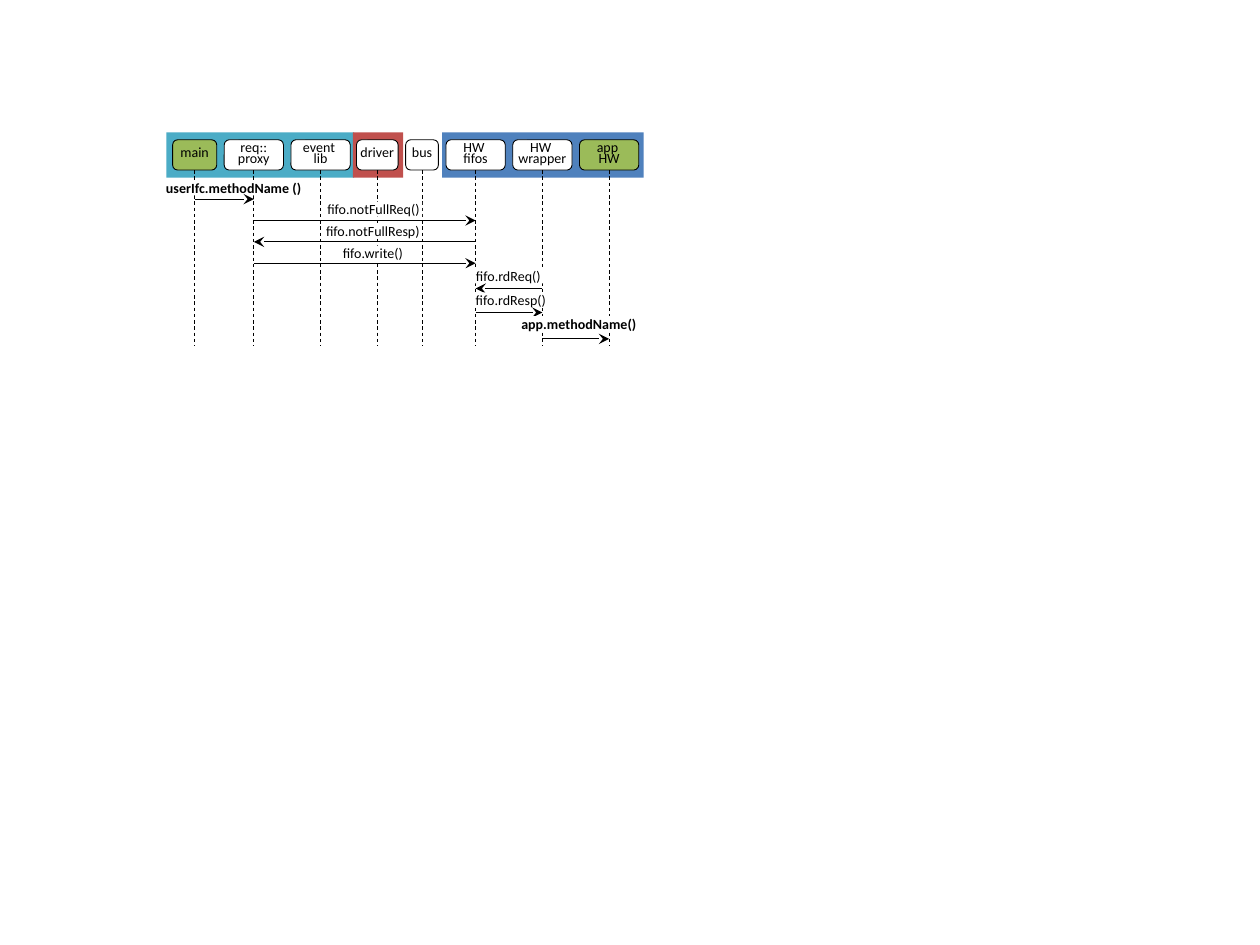
import pptx
import pptx.util
import pptx.dml.color
import pptx.enum.dml
import pptx.enum.shapes
import pptx.enum.text
import pptx.oxml.ns
import lxml.etree

Inches = pptx.util.Inches
COLORS = {"software": "4BACC6", "kernel": "C0504D", "hardware": "4F81BD",
          "user": "9BBB59", "white": "FFFFFF", "ink": "000000"}
RECTANGLE = pptx.enum.shapes.MSO_SHAPE.RECTANGLE
ROUNDED = pptx.enum.shapes.MSO_SHAPE.ROUNDED_RECTANGLE

BANDS = [(0, 1.49, "software"), (1.48, 0.4, "kernel"), (2.19, 1.6, "hardware")]
PARTICIPANTS = [
    ("main", ["main"], 0.05, 0.35, "user"),
    ("proxy", ["req::", "proxy"], 0.46, 0.47, "white"),
    ("event", ["event ", "lib"], 0.99, 0.47, "white"),
    ("driver", ["driver"], 1.51, 0.33, "white"),
    ("bus", ["bus"], 1.9, 0.26, "white"),
    ("fifos", ["HW ", "fifos"], 2.22, 0.47, "white"),
    ("wrapper", ["HW ", "wrapper"], 2.75, 0.47, "white"),
    ("app", ["app ", "HW"], 3.28, 0.47, "user"),
]
MESSAGES = [
    ("userIfc.methodName ()", "main", "proxy", 0.53, 0.02, 0.38, 1.03, True),
    ("fifo.notFullReq()", "proxy", "fifos", 0.7, 1.26, 0.55, 0.77, False),
    ("fifo.notFullResp)", "fifos", "proxy", 0.87, 1.28, 0.72, 0.72, False),
    ("fifo.write()", "proxy", "fifos", 1.04, 1.31, 0.9, 0.66, False),
    ("fifo.rdReq()", "wrapper", "fifos", 1.24, 2.35, 1.08, 0.73, False),
    ("fifo.rdResp()", "fifos", "wrapper", 1.43, 2.37, 1.27, 0.73, False),
    ("app.methodName()", "wrapper", "app", 1.64, 2.76, 1.46, 1.03, True),
]


def color(name):
    """Return the named colour."""
    return pptx.dml.color.RGBColor.from_string(COLORS[name])


def add_box(slide, kind, box, fill, line=None):
    """Add a filled shape with an optional thin outline."""
    shape = slide.shapes.add_shape(kind, *map(Inches, box))
    shape.shadow.inherit = False
    shape.fill.solid()
    shape.fill.fore_color.rgb = color(fill)
    if line:
        shape.line.color.rgb = color(line)
        shape.line.width = pptx.util.Pt(0.5)
    else:
        shape.line.fill.background()
    return shape


def write_text(shape, lines, bold=False, spacing=None):
    """Write centred lines of small text into a shape."""
    frame = shape.text_frame
    frame_format = {"word_wrap": False, "margin_left": 0, "margin_right": 0,
                    "margin_top": 0, "margin_bottom": 0,
                    "vertical_anchor": pptx.enum.text.MSO_ANCHOR.MIDDLE}
    font_format = {"name": "Calibri", "size": pptx.util.Pt(8), "bold": bold}
    for name, value in frame_format.items():
        setattr(frame, name, value)
    for index, text in enumerate(lines):
        paragraph = frame.add_paragraph() if index else frame.paragraphs[0]
        paragraph.alignment = pptx.enum.text.PP_ALIGN.CENTER
        if spacing:
            paragraph.line_spacing = pptx.util.Pt(spacing)
        run = paragraph.add_run()
        run.text = text
        run.font.color.rgb = color("ink")
        for name, value in font_format.items():
            setattr(run.font, name, value)


def add_line(slide, start, end, dashed=False):
    """Add a dashed lifeline or a solid arrow."""
    connector = slide.shapes.add_connector(
        pptx.enum.shapes.MSO_CONNECTOR.STRAIGHT, *map(Inches, start + end))
    connector.line.color.rgb = color("ink")
    connector.line.width = pptx.util.Pt(0.5)
    if dashed:
        connector.line.dash_style = pptx.enum.dml.MSO_LINE.DASH
    else:
        outline = connector.line._get_or_add_ln()
        lxml.etree.SubElement(outline, pptx.oxml.ns.qn("a:tailEnd"), type="stealth")
    lxml.etree.SubElement(connector._element.spPr, pptx.oxml.ns.qn("a:effectLst"))


def add_header(slide, left, top):
    """Draw the bands, participants and lifelines; return the lifeline positions."""
    for offset, width, fill in BANDS:
        add_box(slide, RECTANGLE, (left + offset, top, width, 0.36), fill)
    lifelines = {}
    for key, lines, offset, width, fill in PARTICIPANTS:
        box = (left + offset, top + 0.06, width, 0.24)
        write_text(add_box(slide, ROUNDED, box, fill, "ink"), lines, spacing=6.6)
        center = left + offset + width / 2
        lifelines[key] = center
        add_line(slide, (center, top + 0.3), (center, top + 1.71), dashed=True)
    return lifelines


def add_messages(slide, left, top, lifelines):
    """Draw the labelled arrows between the lifelines."""
    for text, source, target, arrow, label_left, label_top, width, bold in MESSAGES:
        label = add_box(slide, RECTANGLE,
                        (left + label_left, top + label_top, width, 0.12), "white")
        write_text(label, [text], bold)
        add_line(slide, (lifelines[source], top + arrow), (lifelines[target], top + arrow))


def add_sequence_diagram(slide, left, top):
    """Draw the whole sequence diagram from its top left corner."""
    lifelines = add_header(slide, left, top)
    add_messages(slide, left, top, lifelines)
    add_box(slide, RECTANGLE, (left + 0.05, top + 1.7, 3.63, 0.06), "white", "white")


def main():
    """Build and save the presentation."""
    presentation = pptx.Presentation()
    presentation.slide_width = Inches(10)
    presentation.slide_height = Inches(7.5)
    slide = presentation.slides.add_slide(presentation.slide_layouts[6])
    add_sequence_diagram(slide, 1.32, 1.05)
    presentation.save("out.pptx")


main()
